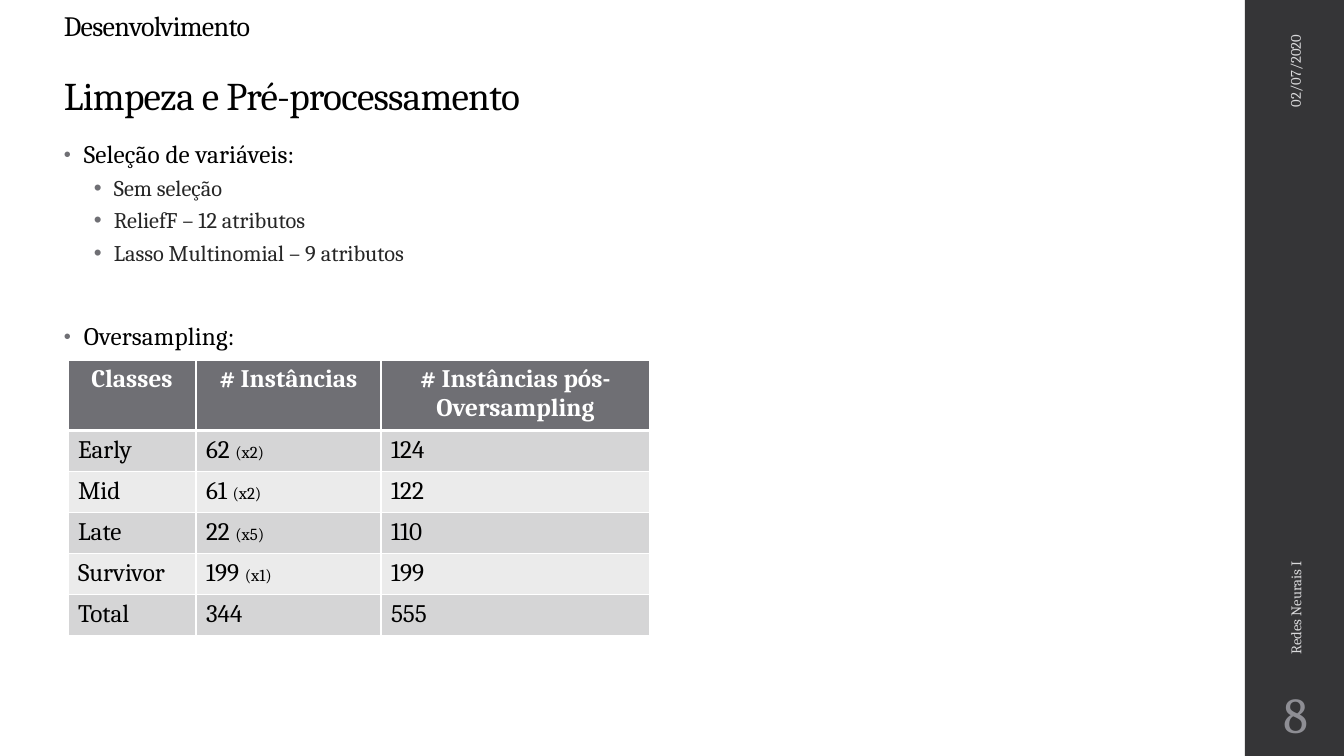
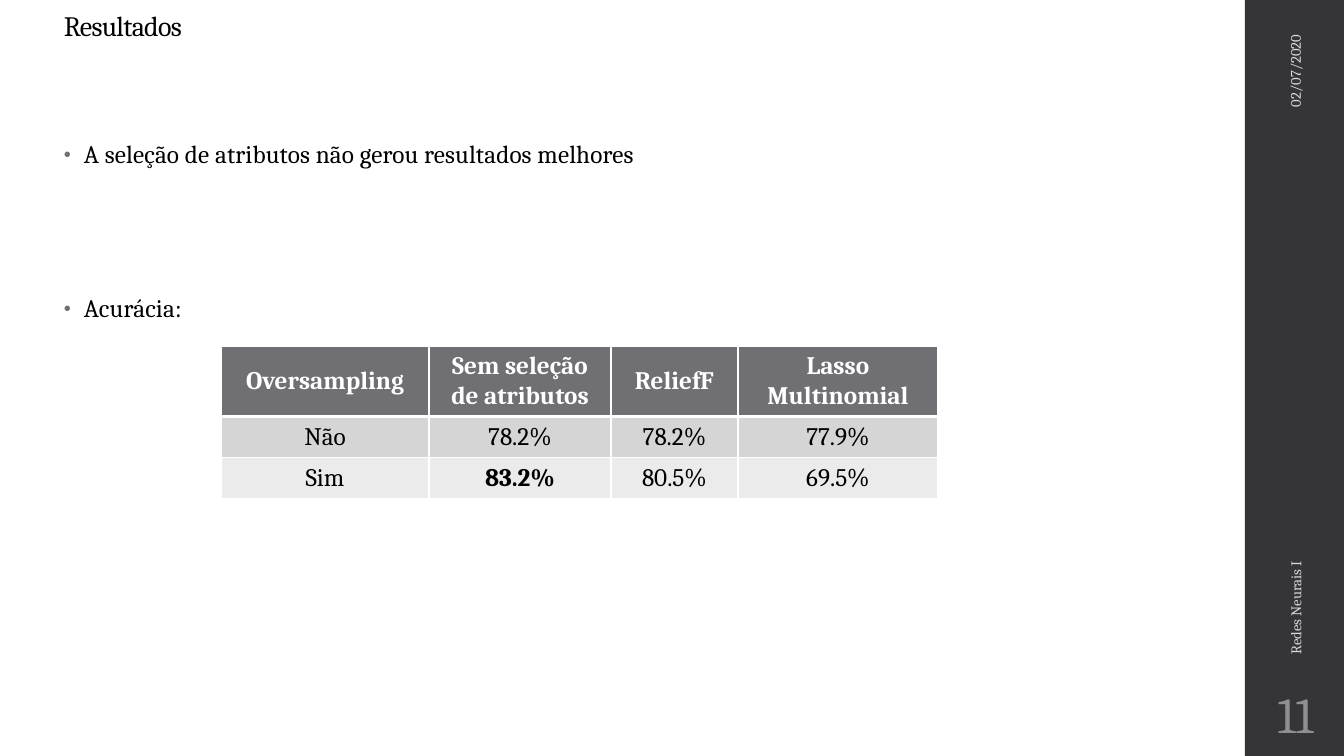
import pptx
import pptx.dml.color
import pptx.enum.shapes
import pptx.enum.text
import pptx.oxml
import pptx.oxml.ns
import pptx.util
from dataclasses import dataclass

ALIGN = pptx.enum.text.PP_ALIGN
ANCHOR = pptx.enum.text.MSO_ANCHOR
EMU_PER_PX = 9144000 / 1008


@dataclass(frozen=True)
class Theme:
    font: str = "Cambria"
    black: str = "000000"
    white: str = "FFFFFF"
    detail: str = "262626"
    accent: str = "6F6F74"
    band: str = "353537"
    footer: str = "D9D9DB"
    number: str = "8E8E94"
    stripes: tuple = ("D5D5D6", "EBEBEB")
    title_size: float = 20
    subtitle_size: float = 28
    body_size: float = 18
    detail_size: float = 16
    note_size: float = 12
    footer_size: float = 10.5
    number_size: float = 36
    title_spacing: int = -50
    body_spacing: int = 10


THEME = Theme()

BULLET_LEVELS = (
    dict(indent=20, line=0.95, before=14, after=2, bullet_scale=80,
         size=THEME.body_size, color=THEME.black, spacing=THEME.body_spacing),
    dict(indent=50, line=0.9, before=3, after=3, bullet_scale=100,
         size=THEME.detail_size, color=THEME.detail, spacing=0),
)
BULLET_HANG = 20

FOOTER = "Redes Neurais I"
DATE = "02/07/2020"
HEADER_HEIGHT = 67
ROW_HEIGHT = 41

SLIDES = [
    {
        "title": "Desenvolvimento",
        "subtitle": "Limpeza e Pré-processamento",
        "number": "8",
        "bullets": [
            {"text": "Seleção de variáveis:"},
            {"text": "Sem seleção", "level": 1},
            {"text": "ReliefF – 12 atributos", "level": 1},
            {"text": "Lasso Multinomial – 9 atributos", "level": 1},
            {"text": "Oversampling:", "extra_gap": 23.5},
        ],
        "table": {
            "left": 68, "top": 360, "columns": (128, 185, 269),
            "body_align": ALIGN.LEFT, "anchor": ANCHOR.TOP, "bold": (),
            "rows": [
                ("Classes", "# Instâncias", "# Instâncias pós-Oversampling"),
                ("Early", ("62 ", "(x2)"), "124"),
                ("Mid", ("61 ", "(x2)"), "122"),
                ("Late", ("22 ", "(x5)"), "110"),
                ("Survivor", ("199 ", "(x1)"), "199"),
                ("Total", "344", "555"),
            ],
        },
    },
    {
        "title": "Resultados",
        "number": "11",
        "bullets": [
            {"text": "A seleção de atributos não gerou resultados melhores"},
            {"text": "Acurácia:", "extra_gap": 73.4},
        ],
        "table": {
            "left": 221, "top": 346, "columns": (208, 182, 127, 200),
            "body_align": ALIGN.CENTER, "anchor": ANCHOR.MIDDLE, "bold": ("83.2%",),
            "rows": [
                ("Oversampling", "Sem seleção de atributos", "ReliefF", "Lasso Multinomial"),
                ("Não", "78.2%", "78.2%", "77.9%"),
                ("Sim", "83.2%", "80.5%", "69.5%"),
            ],
        },
    },
]


def px(value):
    return pptx.util.Emu(round(value * EMU_PER_PX))


def rgb(value):
    return pptx.dml.color.RGBColor.from_string(value)


def drawing_element(tag, **attributes):
    element = pptx.oxml.parse_xml(f"<a:{tag} {pptx.oxml.ns.nsdecls('a')}/>")
    for name, value in attributes.items():
        element.set(name, str(value))
    return element


def format_run(run, size, color, bold=False, spacing=0):
    run.font.name = THEME.font
    run.font.size = pptx.util.Pt(size)
    run.font.color.rgb = rgb(color)
    run.font.bold = bold
    if spacing:
        run.font._element.set("spc", str(spacing))


def add_text_frame(slide, box, anchor=ANCHOR.TOP, rotation=0):
    shape = slide.shapes.add_textbox(*map(px, box))
    shape.rotation = rotation
    shape.text_frame.word_wrap = True
    shape.text_frame.vertical_anchor = anchor
    return shape.text_frame


def add_line(slide, text, box, size, color, anchor=ANCHOR.MIDDLE, align=ALIGN.LEFT,
             rotation=0, spacing=0, line=1.0):
    text_frame = add_text_frame(slide, box, anchor, rotation)
    text_frame.text = text
    paragraph = text_frame.paragraphs[0]
    paragraph.alignment = align
    paragraph.line_spacing = line
    format_run(paragraph.runs[0], size, color, spacing=spacing)
    return text_frame


def add_heading(slide, text, box, size):
    add_line(slide, text, box, size, THEME.black, ANCHOR.BOTTOM,
             spacing=THEME.title_spacing, line=0.9)


def add_side_band(slide, number):
    band = slide.shapes.add_shape(pptx.enum.shapes.MSO_SHAPE.RECTANGLE,
                                  *map(px, (1245, 0, 99, 756)))
    band.shadow.inherit = False
    band.fill.solid()
    band.fill.fore_color.rgb = rgb(THEME.band)
    band.line.fill.background()
    add_line(slide, FOOTER, (1098, 447, 395, 40), THEME.footer_size, THEME.footer, rotation=270)
    add_line(slide, DATE, (1190, 110, 210, 40), THEME.footer_size, THEME.footer,
             align=ALIGN.RIGHT, rotation=270)
    number_frame = add_line(slide, number, (1245, 680, 101, 66), THEME.number_size,
                            THEME.number, align=ALIGN.CENTER)
    number_frame.margin_left = number_frame.margin_right = px(5)
    number_frame.margin_top = number_frame.margin_bottom = px(5)


def add_bullets(slide, bullets):
    text_frame = add_text_frame(slide, (54, 136, 1048, 573))
    text_frame.text = "\n".join(bullet["text"] for bullet in bullets)
    for paragraph, bullet in zip(text_frame.paragraphs, bullets):
        level = bullet.get("level", 0)
        style = BULLET_LEVELS[level]
        paragraph.level = level
        paragraph.line_spacing = style["line"]
        paragraph.space_before = pptx.util.Pt(style["before"] + bullet.get("extra_gap", 0))
        paragraph.space_after = pptx.util.Pt(style["after"])
        properties = paragraph._p.get_or_add_pPr()
        properties.set("marL", str(px(style["indent"])))
        properties.set("indent", str(px(-BULLET_HANG)))
        bullet_color = drawing_element("buClr")
        bullet_color.append(drawing_element("srgbClr", val=THEME.accent))
        properties.append(bullet_color)
        properties.append(drawing_element("buSzPct", val=style["bullet_scale"] * 1000))
        properties.append(drawing_element("buFont", typeface="Arial"))
        properties.append(drawing_element("buChar", char="•"))
        format_run(paragraph.runs[0], style["size"], style["color"], spacing=style["spacing"])


def set_borders(cell, top, bottom):
    properties = cell._tc.get_or_add_tcPr()
    widths = {"lnL": 1, "lnR": 1, "lnT": top, "lnB": bottom}
    for position, (tag, width) in enumerate(widths.items()):
        border = drawing_element(tag, w=pptx.util.Pt(width))
        fill = drawing_element("solidFill")
        fill.append(drawing_element("srgbClr", val=THEME.white))
        border.append(fill)
        properties.insert(position, border)


def fill_cell(cell, content, row_index, spec_table):
    is_header = row_index == 0
    cell.vertical_anchor = spec_table["anchor"]
    cell.fill.solid()
    cell.fill.fore_color.rgb = rgb(THEME.accent if is_header else THEME.stripes[(row_index - 1) % 2])
    set_borders(cell, 3 if row_index == 1 else 1, 3 if is_header else 1)
    value, *notes = (content,) if isinstance(content, str) else content
    cell.text_frame.text = value
    paragraph = cell.text_frame.paragraphs[0]
    paragraph.alignment = ALIGN.CENTER if is_header else spec_table["body_align"]
    format_run(paragraph.runs[0], THEME.body_size, THEME.white if is_header else THEME.black,
               bold=is_header or value in spec_table["bold"])
    for note in notes:
        run = paragraph.add_run()
        run.text = note
        format_run(run, THEME.note_size, THEME.black)


def add_data_table(slide, content):
    rows, columns = content["rows"], content["columns"]
    heights = [HEADER_HEIGHT] + [ROW_HEIGHT] * (len(rows) - 1)
    box = (content["left"], content["top"], sum(columns), sum(heights))
    table = slide.shapes.add_table(len(rows), len(columns), *map(px, box)).table
    table.horz_banding = False
    for column, width in zip(table.columns, columns):
        column.width = px(width)
    for row_index, (row, height, values) in enumerate(zip(table.rows, heights, rows)):
        row.height = px(height)
        for cell, value in zip(row.cells, values):
            fill_cell(cell, value, row_index, content)


def main():
    presentation = pptx.Presentation()
    presentation.slide_width = px(1344)
    presentation.slide_height = px(756)
    for content in SLIDES:
        slide = presentation.slides.add_slide(presentation.slide_layouts[6])
        add_side_band(slide, content["number"])
        add_heading(slide, content["title"], (54, 10, 1188, 38), THEME.title_size)
        add_bullets(slide, content["bullets"])
        if "subtitle" in content:
            add_heading(slide, content["subtitle"], (54, 49, 1188, 75), THEME.subtitle_size)
        add_data_table(slide, content["table"])
    presentation.save("out.pptx")


if __name__ == "__main__":
    main()
